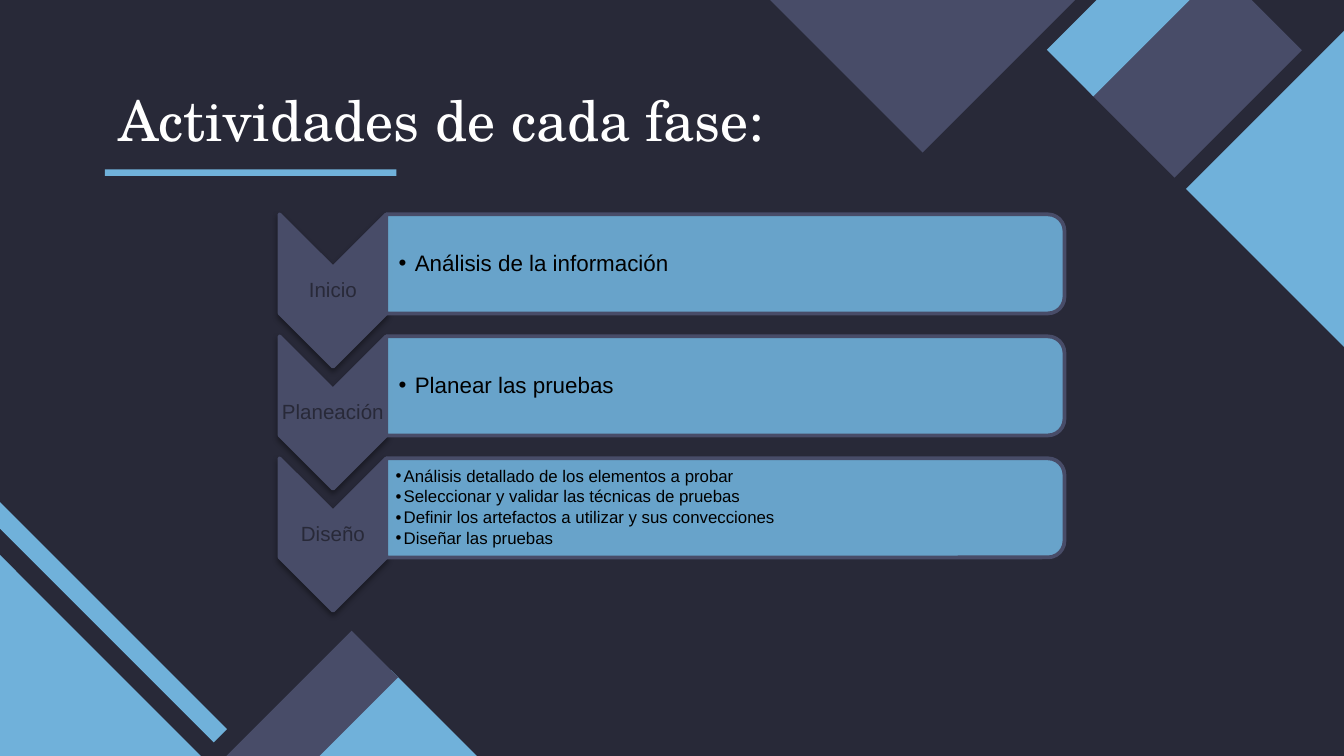
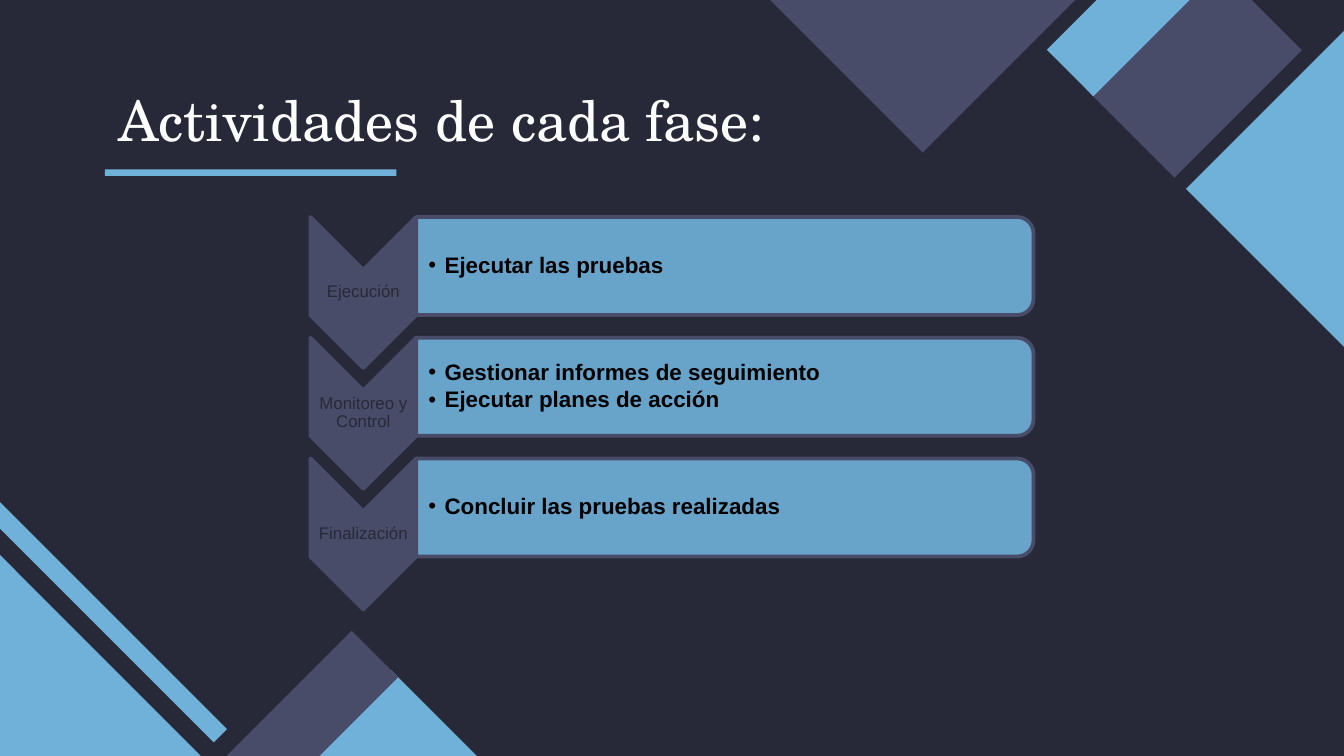
from lxml.etree import SubElement as Sub
from pptx import Presentation
from pptx.dml.color import RGBColor
from pptx.enum.shapes import MSO_SHAPE as Kind
from pptx.enum.text import MSO_ANCHOR as Anchor, MSO_AUTO_SIZE as Fit, PP_ALIGN as Align
from pptx.oxml.ns import qn
from pptx.util import Inches, Pt

WIDE = Inches(10)
HIGH = WIDE * 9 // 16
UNIT = WIDE / 100
HUES = {"night": "282938", "slate": "484C68", "sky": "70B1DA",
        "white": "FFFFFF", "black": "000000"}
SERIF, SANS = "TeX Gyre Schola", "Arial"
TITLE = "Actividades de cada fase:"
DECOR = [
    ((84.2, -1.5, 9.3, 13.4), 45, "slate"),
    ((81.9, -6, 4.9, 13.4), 45, "sky"),
    ((56.2, -18.7, 24.9, 24.9), 45, "slate"),
    ((93.4, 1.6, 24.9, 24.9), 45, "sky"),
    ((23, 51.2, 9.3, 13.4), 45, "sky"),
    ((20.7, 46.7, 4.9, 13.4), 45, "slate"),
    ((-15, 43.9, 24.9, 24.9), 315, "sky"),
    ((4.7, 28.2, 1.4, 31.1), 315, "sky"),
]
FIRST = [
    ("Inicio", 12, 0.12, ["Análisis de la información"]),
    ("Planeación", 12, 0.12, ["Planear las pruebas"]),
    ("Diseño", 9, 0.06, [
        "Análisis detallado de los elementos a probar",
        "Seleccionar y validar las técnicas de pruebas",
        "Definir los artefactos a utilizar y sus convecciones",
        "Diseñar las pruebas"]),
]
LAST = [
    ("Ejecución", 12, 0.12, ["Ejecutar las pruebas"]),
    ("Monitoreo y Control", 12, 0.12, [
        "Gestionar informes de seguimiento", "Ejecutar planes de acción"]),
    ("Finalización", 12, 0.12, ["Concluir las pruebas realizadas"]),
]


def hue(name):
    """Return the named colour."""
    return RGBColor.from_string(HUES[name])


def grid(box):
    """Turn grid units into slide lengths."""
    return [round(n * UNIT) for n in box]


def draw(shapes, kind, box, fill, turn=0, line=None):
    """Add a flat shape, with its frame given before turning."""
    shape = shapes.add_shape(kind, *grid(box))
    shape.rotation = turn
    shape.shadow.inherit = False
    shape.fill.solid()
    shape.fill.fore_color.rgb = hue(fill)
    if line:
        shape.line.color.rgb = hue(line)
        shape.line.width = Pt(2)
    else:
        shape.line.fill.background()
    return shape


def swing(shapes, kind, box, fill, line=None):
    """Add a shape turned a quarter so that it covers the box."""
    x, y, w, h = box
    shift = (w - h) / 2
    return draw(shapes, kind, (x + shift, y - shift, h, w), fill, 90, line)


def fade(shape, share):
    """Set the opacity of a solid fill."""
    tone = shape.element.spPr.find(qn("a:solidFill"))[0]
    Sub(tone, qn("a:alpha"), val=str(share * 1000))


def shade(shape):
    """Add a soft shadow below the shape."""
    holder = shape.element.spPr.find(qn("a:effectLst"))
    drop = Sub(holder, qn("a:outerShdw"), blurRad=str(Pt(3.1)), dist=str(Pt(1.6)),
               dir="5400000", rotWithShape="0")
    tone = Sub(drop, qn("a:srgbClr"), val=HUES["black"])
    Sub(tone, qn("a:alpha"), val="38000")


def frame(shape, pads):
    """Set wrapping, middle anchor and insets of a text frame."""
    text = shape.text_frame
    text.word_wrap = True
    text.auto_size = Fit.NONE
    text.vertical_anchor = Anchor.MIDDLE
    text.margin_left, text.margin_top, text.margin_right, text.margin_bottom = map(Inches, pads)
    return text


def say(para, words, size, tone, face=SANS, bold=False):
    """Add one formatted run."""
    run = para.add_run()
    run.text = words
    font = run.font
    font.name, font.size, font.bold = face, Pt(size), bold
    font.color.rgb = hue(tone)


def space(para, after):
    """Set tight lines and a gap after in percent."""
    para.line_spacing = 0.9
    props = para._p.get_or_add_pPr()
    Sub(Sub(props, qn("a:spcAft")), qn("a:spcPct"), val=str(after * 1000))
    return props


def dot(para, hang):
    """Give the paragraph a hanging black bullet."""
    para.level = 1
    props = space(para, 15)
    props.set("marL", str(Inches(hang)))
    props.set("indent", str(-Inches(hang)))
    Sub(Sub(props, qn("a:buClr")), qn("a:srgbClr"), val=HUES["black"])
    Sub(props, qn("a:buFont"), typeface=SANS)
    Sub(props, qn("a:buChar"), char="•")


def label(shapes, box, name, size):
    """Write the phase name on its arrow."""
    text = frame(shapes.add_textbox(*grid(box)), [0.01] * 4)
    para = text.paragraphs[0]
    para.alignment = Align.CENTER
    space(para, 35)
    say(para, name, size, "night")


def tasks(shapes, box, lines, size, hang, bold):
    """Write the bulleted tasks of a phase."""
    text = frame(shapes.add_textbox(*grid(box)), [size / 130, 0.01, 0.01, 0.01])
    for i, line in enumerate(lines):
        para = text.add_paragraph() if i else text.paragraphs[0]
        dot(para, hang)
        say(para, line, size, "black", bold=bold)


def phases(slide, box, items, size, bold=False, soft=False):
    """Stack arrows with task bars inside the box."""
    x, y, w, h = box
    tall = h / (1 + 0.8 * (len(items) - 1))
    thin, deep = 0.7 * tall, 0.65 * tall
    shapes = slide.shapes.add_group_shape().shapes
    for i, (name, points, hang, lines) in enumerate(items):
        top = y + i * 0.8 * tall
        arrow = swing(shapes, Kind.CHEVRON, (x, top, thin, tall), "slate", "slate")
        if soft:
            shade(arrow)
        label(shapes, (x, top + thin / 2, thin, tall - thin), name, size)
        bar = (x + thin, top, w - thin, deep)
        fade(swing(shapes, Kind.ROUND_2_SAME_RECTANGLE, bar, "sky", "slate"), 90)
        inner = (x + thin, top + 0.05 * deep, w - thin - 0.4, 0.9 * deep)
        tasks(shapes, inner, lines, points, hang, bold)


def head(slide, box):
    """Set the title and the rule under it."""
    x, y, w, h = box
    title = slide.shapes.title
    title.left, title.top, title.width, title.height = grid(box)
    para = frame(title, [0.1] * 4).paragraphs[0]
    para.alignment = Align.LEFT
    say(para, TITLE, 30, "white", SERIF)
    swing(slide.shapes, Kind.RECTANGLE, (x, y + h + 0.8, 21.7, 0.5), "sky")


def adorn(layout, slide):
    """Give the layout its ground and corner blocks."""
    layout.background.fill.solid()
    layout.background.fill.fore_color.rgb = hue("night")
    for box, turn, fill in DECOR:
        block = draw(slide.shapes, Kind.RECTANGLE, box, fill, turn)
        layout.shapes.element.append(block.element)


def main():
    """Build and save the slides."""
    deck = Presentation()
    deck.slide_width, deck.slide_height = WIDE, HIGH
    layout = deck.slide_layouts[5]
    one, two = [deck.slides.add_slide(layout) for _ in range(2)]
    adorn(layout, one)
    for slide in (one, two):
        head(slide, (7.8, 5.9, 84.4, 5.9))
    phases(one, (20.8, 15.95, 58.4, 29.5), FIRST, 11, soft=True)
    phases(two, (23.1, 16.15, 53.8, 29.2), LAST, 9, bold=True)
    deck.save("out.pptx")


if __name__ == "__main__":
    main()
